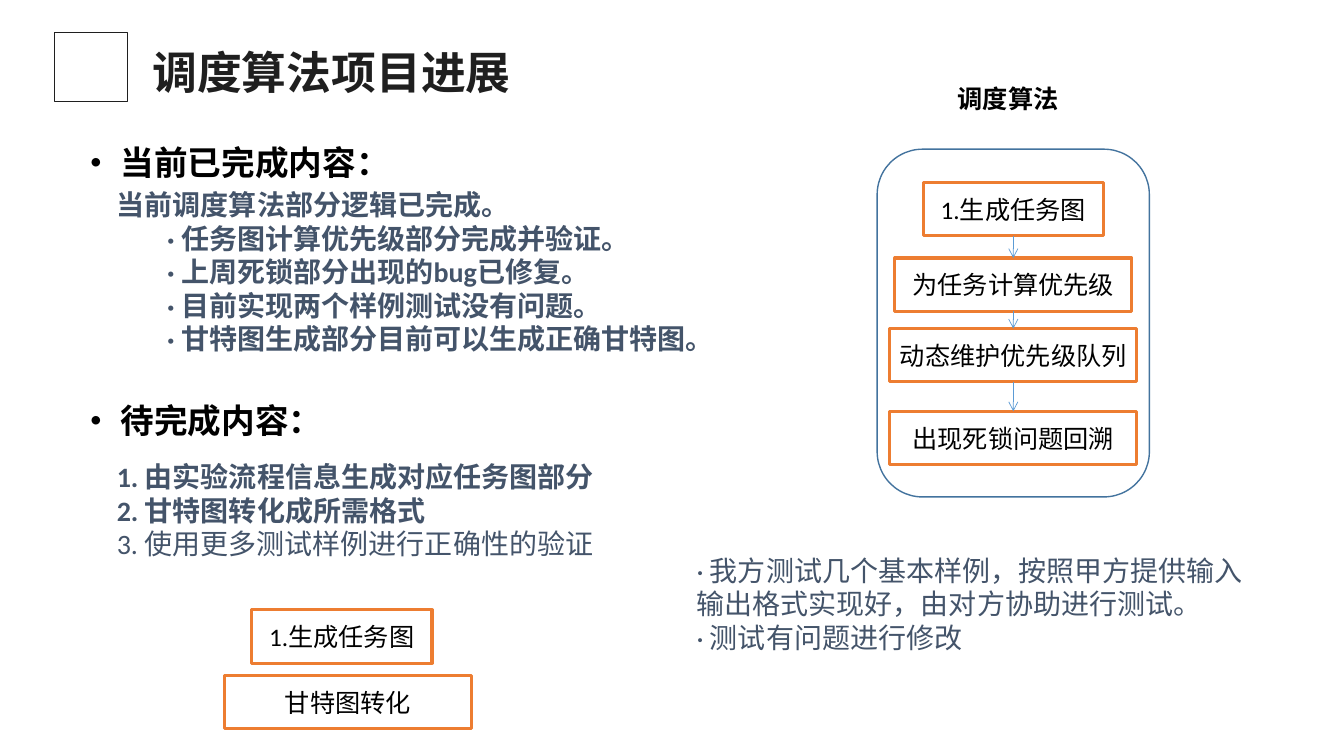
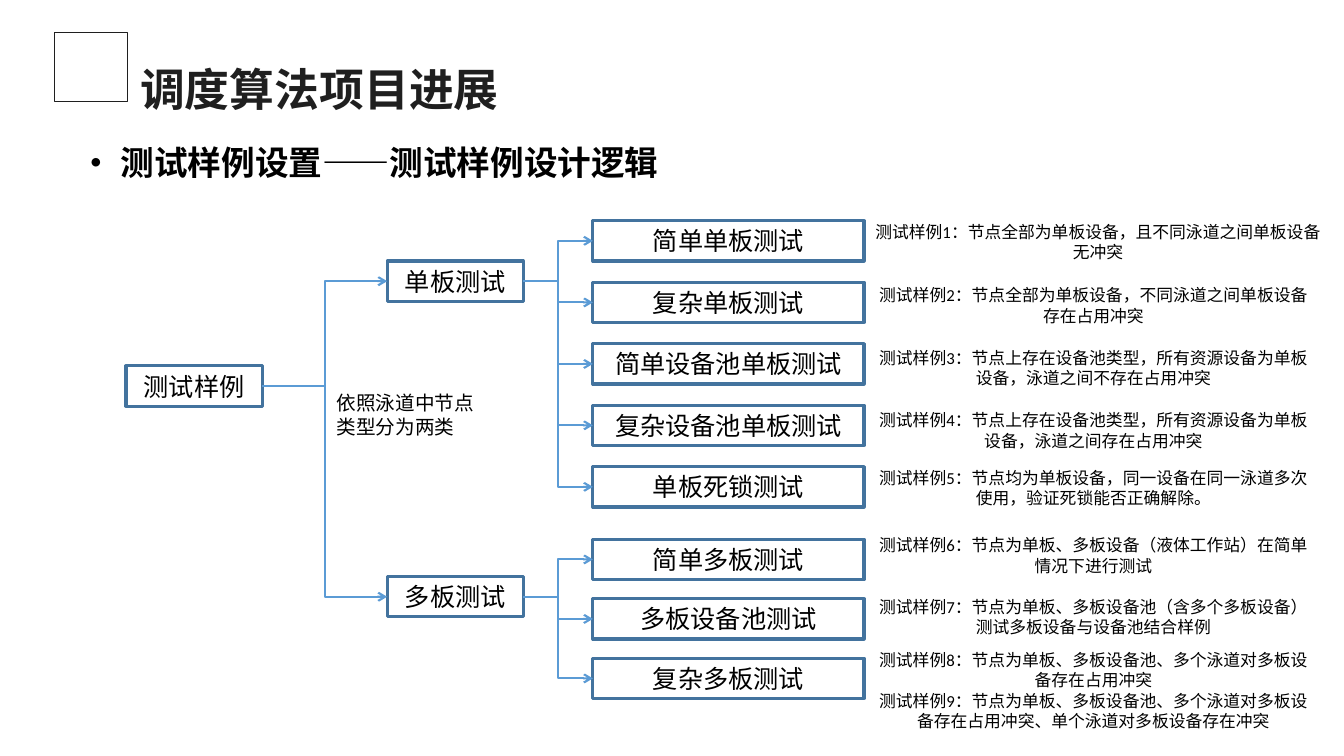
import pptx
import pptx.dml.color
import pptx.enum.lang
import pptx.enum.shapes
import pptx.enum.text
import pptx.oxml
import pptx.oxml.ns
import pptx.util

Inches = pptx.util.Inches
Pt = pptx.util.Pt
SHAPE = pptx.enum.shapes.MSO_SHAPE
CONNECTOR = pptx.enum.shapes.MSO_CONNECTOR
ALIGN = pptx.enum.text.PP_ALIGN
ANCHOR = pptx.enum.text.MSO_ANCHOR
FIT = pptx.enum.text.MSO_AUTO_SIZE
CHINESE = pptx.enum.lang.MSO_LANGUAGE_ID.SIMPLIFIED_CHINESE

HEADING_FONT = "Noto Sans CJK SC"
BODY_FONT = "Calibri"
INK, BLACK, SLATE = "1F1F1F", "000000", "44546A"
ORANGE, NAVY, BLUE = "ED7D31", "43739E", "5B9BD5"


def color(value):
    return pptx.dml.color.RGBColor.from_string(value)


def apply(target, values):
    for name, value in values.items():
        setattr(target, name, value)


def element(tag, **attributes):
    made = pptx.oxml.parse_xml(f"<{tag} {pptx.oxml.ns.nsdecls('a')}/>")
    for name, value in attributes.items():
        made.set(name, value)
    return made


class Deck:
    """Holds the shared style and the slide being built."""

    def __init__(self):
        self.show = pptx.Presentation()
        apply(self.show, {"slide_width": Inches(13.33), "slide_height": Inches(7.5)})
        self.slide = None

    def new_slide(self, title, left, top):
        self.slide = self.show.slides.add_slide(self.show.slide_layouts[6])
        heading = self.text(left, top, 11.73, 0.72, [title], 32, INK, True, HEADING_FONT)
        frame = heading.text_frame
        apply(frame, {
            "vertical_anchor": ANCHOR.MIDDLE,
            "margin_left": Inches(0.13), "margin_right": Inches(0.13),
            "margin_top": Inches(0.07), "margin_bottom": Inches(0.07),
        })
        frame.paragraphs[0].line_spacing = 1.1
        self.outline(0.54, 0.32, 0.72, 0.69, INK, 0.5)

    def fill_text(self, frame, lines, size, ink, bold=False, font=BODY_FONT, align=ALIGN.LEFT):
        frame.word_wrap = True
        for index, line in enumerate(lines):
            paragraph = frame.paragraphs[0] if index == 0 else frame.add_paragraph()
            paragraph.alignment = align
            run = paragraph.add_run()
            run.text = line
            run.font.color.rgb = color(ink)
            apply(run.font, {"size": Pt(size), "bold": bold, "name": font, "language_id": CHINESE})
            run.font._element.append(element("a:ea", typeface=font))

    def text(self, left, top, width, height, lines, size, ink, bold=False,
             font=BODY_FONT, align=ALIGN.LEFT):
        box = self.slide.shapes.add_textbox(
            Inches(left), Inches(top), Inches(width), Inches(height))
        self.fill_text(box.text_frame, lines, size, ink, bold, font, align)
        box.text_frame.auto_size = FIT.SHAPE_TO_FIT_TEXT
        return box

    def section(self, top, label):
        self.text(0.69, top, 11.81, 0.5, [label], 24, BLACK, True, HEADING_FONT)

    def outline(self, left, top, width, height, ink, weight, preset=SHAPE.RECTANGLE):
        shape = self.slide.shapes.add_shape(
            preset, Inches(left), Inches(top), Inches(width), Inches(height))
        shape.shadow.inherit = False
        shape.fill.background()
        shape.line.color.rgb = color(ink)
        shape.line.width = Pt(weight)
        return shape

    def node(self, left, top, width, height, label, ink):
        shape = self.outline(left, top, width, height, ink, 2.25)
        self.fill_text(shape.text_frame, [label], 18, BLACK, align=ALIGN.CENTER)
        shape.text_frame.vertical_anchor = ANCHOR.MIDDLE
        return shape

    def step(self, center, top, width, label):
        return self.node(center - width / 2, top, width, 0.53, label, ORANGE)

    def category(self, left, top, width, label):
        return self.node(left, top, width, 0.4, label, NAVY)

    def arrow(self, start, start_side, end, end_side, weight, kind):
        link = self.slide.shapes.add_connector(kind, 0, 0, 0, 0)
        link.begin_connect(start, start_side)
        link.end_connect(end, end_side)
        link.line.color.rgb = color(BLUE)
        link.line.width = Pt(weight)
        link.line._get_or_add_ln().append(element("a:tailEnd", type="arrow"))
        link._element.spPr.append(element("a:effectLst"))

    def branch(self, parent, child):
        self.arrow(parent, 3, child, 1, 1.5, CONNECTOR.ELBOW)


def progress_slide(deck):
    deck.new_slide("调度算法项目进展", 1.38, 0.32)
    deck.section(1.36, "· 当前已完成内容：")
    done = deck.text(1.06, 1.81, 10.08, 1.78, [
        "当前调度算法部分逻辑已完成。",
        "· 任务图计算优先级部分完成并验证。",
        "· 上周死锁部分出现的bug已修复。",
        "· 目前实现两个样例测试没有问题。",
        "· 甘特图生成部分目前可以生成正确甘特图。",
    ], 20, SLATE, True)
    for detail in done.text_frame.paragraphs[1:]:
        detail.level = 1
        detail._p.get_or_add_pPr().set("marL", str(Inches(0.5)))

    deck.outline(8.7, 1.48, 2.7, 3.45, NAVY, 1, SHAPE.ROUNDED_RECTANGLE)
    deck.text(9.4, 0.78, 1.49, 0.37, ["调度算法"], 18, BLACK, True)
    steps = [deck.step(10.05, top, width, label) for top, width, label in (
        (1.81, 1.79, "1.生成任务图"),
        (2.56, 2.35, "为任务计算优先级"),
        (3.26, 2.45, "动态维护优先级队列"),
        (4.08, 2.45, "出现死锁问题回溯"),
    )]
    for upper, lower in zip(steps, steps[1:]):
        deck.arrow(upper, 2, lower, 0, 0.5, CONNECTOR.STRAIGHT)

    deck.section(3.92, "· 待完成内容：")
    pending = deck.text(1.06, 4.51, 10.08, 1.11, [
        "1. 由实验流程信息生成对应任务图部分",
        "2. 甘特图转化成所需格式",
        "3. 使用更多测试样例进行正确性的验证",
    ], 20, SLATE, True)
    pending.text_frame.paragraphs[2].runs[0].font.bold = False
    deck.step(3.45, 6.7, 2.45, "甘特图转化")
    deck.step(3.39, 6.05, 1.79, "1.生成任务图")
    deck.text(6.81, 5.44, 5.69, 1.11, [
        "· 我方测试几个基本样例，按照甲方提供输入输出格式实现好，由对方协助进行测试。",
        "· 测试有问题进行修改",
    ], 20, SLATE)


def test_case_slide(deck):
    deck.new_slide("调度算法项目进展", 1.26, 0.49)
    deck.section(1.36, "· 测试样例设置——测试样例设计逻辑")
    root = deck.category(1.25, 3.63, 1.35, "测试样例")
    groups = (
        ("单板测试", 2.59, 2.19, 0.61, (
            "简单单板测试", "复杂单板测试", "简单设备池单板测试",
            "复杂设备池单板测试", "单板死锁测试")),
        ("多板测试", 5.72, 5.35, 0.59, (
            "简单多板测试", "多板设备池测试", "复杂多板测试")),
    )
    for group, group_top, first_top, pitch, tests in groups:
        parent = deck.category(3.84, group_top, 1.35, group)
        deck.branch(root, parent)
        for row, test in enumerate(tests):
            deck.branch(parent, deck.category(5.88, first_top + row * pitch, 2.69, test))
    deck.text(3.24, 3.83, 1.61, 0.57, ["依照泳道中节点类型分为两类"], 14, BLACK)

    notes = (
        (2.15, 4.64, ["测试样例1：节点全部为单板设备，且不同泳道之间单板设备无冲突"]),
        (2.78, 4.55, ["测试样例2：节点全部为单板设备，不同泳道之间单板设备存在占用冲突"]),
        (3.4, 4.55, ["测试样例3：节点上存在设备池类型，所有资源设备为单板设备，泳道之间不存在占用冲突"]),
        (4.02, 4.55, ["测试样例4：节点上存在设备池类型，所有资源设备为单板设备，泳道之间存在占用冲突"]),
        (4.59, 4.55, ["测试样例5：节点均为单板设备，同一设备在同一泳道多次使用，验证死锁能否正确解除。"]),
        (5.26, 4.55, ["测试样例6：节点为单板、多板设备（液体工作站）在简单情况下进行测试"]),
        (5.87, 4.55, ["测试样例7：节点为单板、多板设备池（含多个多板设备）测试多板设备与设备池结合样例"]),
        (6.4, 4.55, [
            "测试样例8：节点为单板、多板设备池、多个泳道对多板设备存在占用冲突",
            "测试样例9：节点为单板、多板设备池、多个泳道对多板设备存在占用冲突、单个泳道对多板设备存在冲突",
        ]),
    )
    for top, width, lines in notes:
        deck.text(8.57, top, width, 0.5 * len(lines), lines, 12, BLACK, align=ALIGN.CENTER)


def main():
    deck = Deck()
    progress_slide(deck)
    test_case_slide(deck)
    deck.show.save("out.pptx")


if __name__ == "__main__":
    main()
